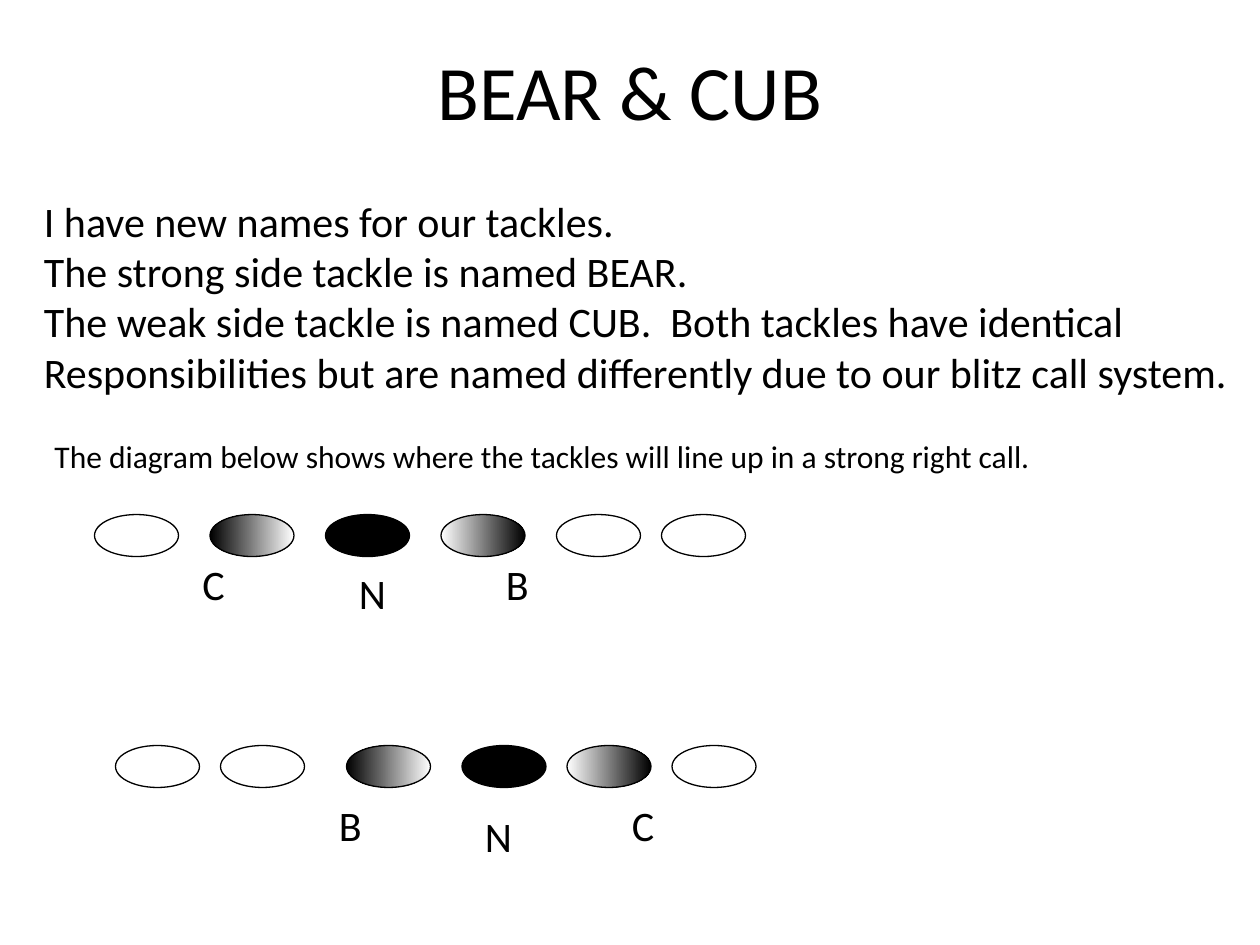
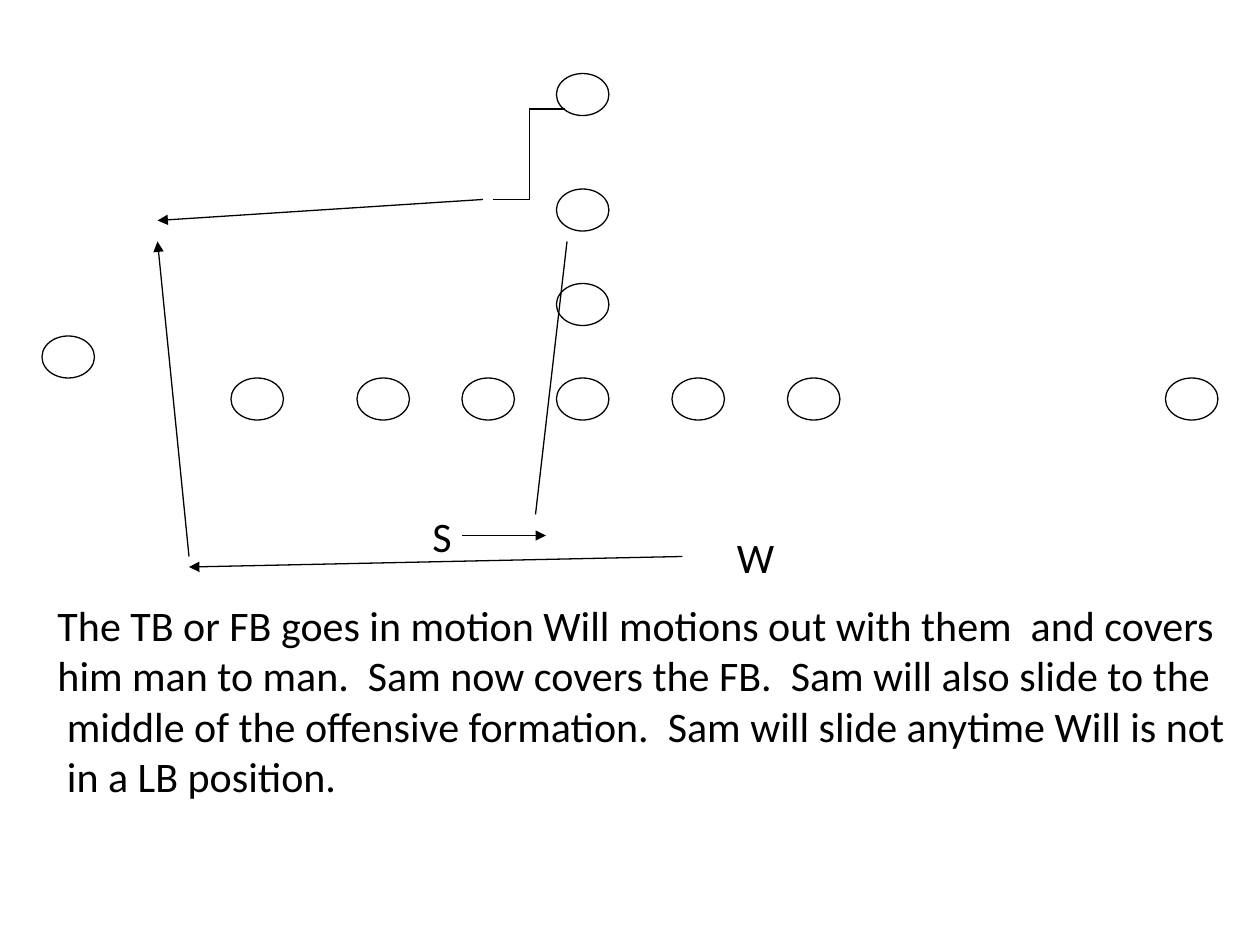
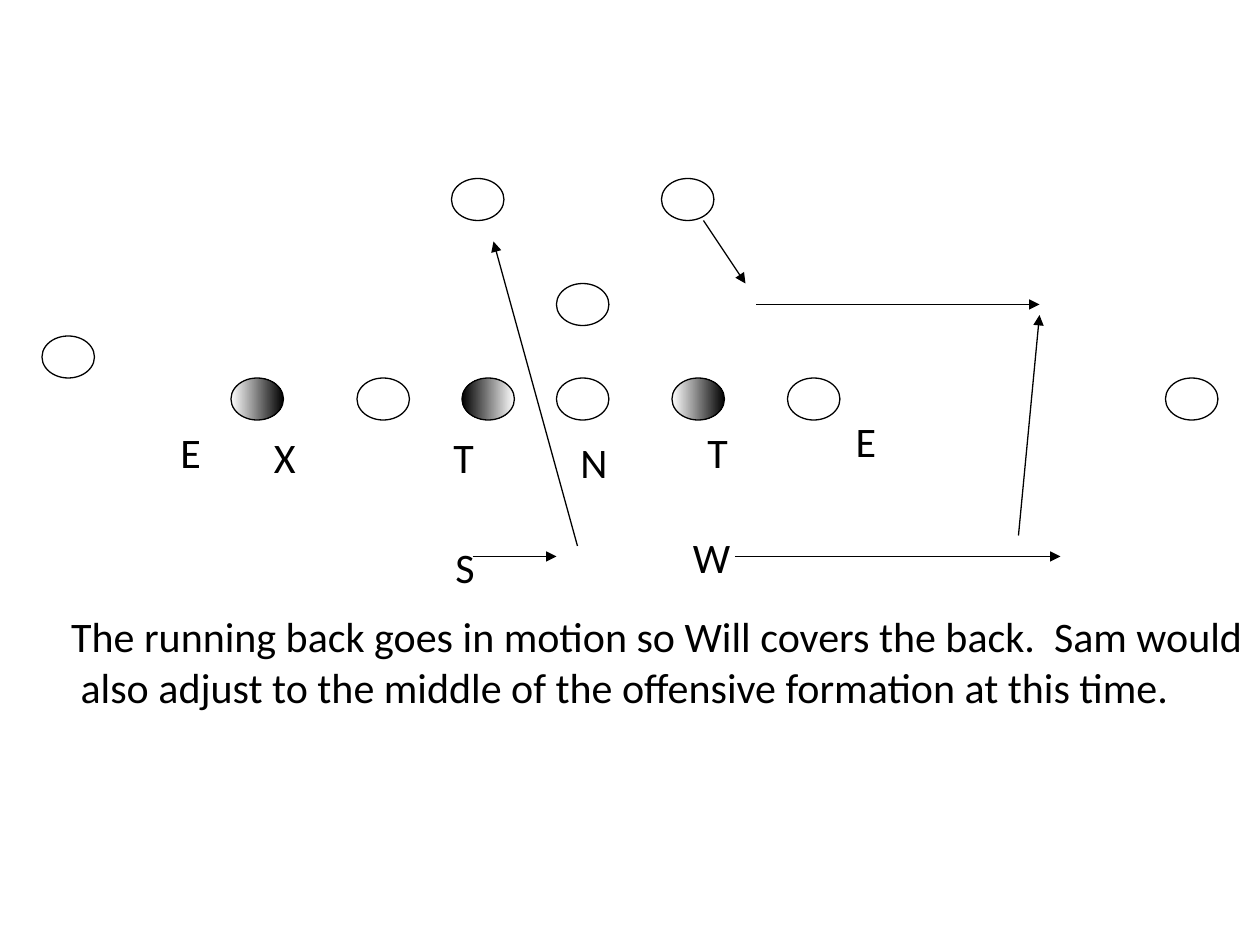
from dataclasses import dataclass

import pptx
import pptx.dml.color
import pptx.enum.shapes
import pptx.enum.text
import pptx.oxml.ns
import pptx.util
from lxml import etree
from pptx.util import Cm, Pt


@dataclass(frozen=True)
class Theme:
    ink: pptx.dml.color.RGBColor = pptx.dml.color.RGBColor(0, 0, 0)
    paper: pptx.dml.color.RGBColor = pptx.dml.color.RGBColor(255, 255, 255)
    font: str = "Calibri"
    title: int = 44
    body: int = 24
    note: int = 18
    line: float = 0.75


THEME = Theme()
CELL = 2.54 / 12  # all positions below count cells of this many cm
SPACE = 0.19  # cm, indent of a hanging line
LETTER_WIDTH = {"B": 4.6, "C": 4.6, "E": 4.3, "N": 4.9, "S": 4.2, "T": 4.3, "X": 4.4}

# Fill of a player, from left to right
OPEN = (THEME.paper,)
NOSE = (THEME.ink,)
DARK_LEFT = (THEME.ink, THEME.paper)
DARK_RIGHT = (THEME.paper, THEME.ink)

# Offense shared by both motion slides: x, y
FORMATION = [(53, 36), (64, 36), (75, 36), (44, 36), (34, 36), (22, 36),
             (4, 32), (111, 36), (53, 27)]

# players: x, y, fill; labels: letter, x, y[, width]
# texts: left, top, width, height, wrap, size, centred, lines (text, indented)
# routes: start, end, kind
SLIDES = [
    {
        "player_size": (8, 4),
        "players": [(x, 49, fill) for x, fill in zip(
            (9, 20, 31, 42, 53, 63),
            (OPEN, DARK_LEFT, NOSE, DARK_RIGHT, OPEN, OPEN))]
        + [(x, 71, fill) for x, fill in zip(
            (11, 21, 33, 44, 54, 64),
            (OPEN, OPEN, DARK_LEFT, NOSE, DARK_RIGHT, OPEN))],
        "labels": [("C", 18.1, 52.6), ("B", 47, 52.6), ("N", 33, 53.5),
                   ("B", 31.1, 75.6), ("C", 59, 75.6), ("N", 45, 76.6)],
        "texts": [
            (6, 3.6, 108, 15, True, THEME.title, True, [("BEAR & CUB", False)]),
            (3, 18, 117, 20.4, True, THEME.body, False, [
                ("I have new names for our tackles.", False),
                ("The strong side tackle is named BEAR.", False),
                ("The weak side tackle is named CUB.  Both tackles have identical", False),
                ("Responsibilities but are named differently due to our blitz call system.", False),
            ]),
            (4, 41, 106, 4.8, True, THEME.note, False, [
                ("The diagram below shows where the tackles will line up in a strong right call.", False),
            ]),
        ],
        "routes": [],
    },
    {
        "player_size": (5, 4),
        "players": [(x, y, OPEN) for x, y in FORMATION + [(53, 18), (53, 7)]],
        "labels": [("S", 40, 48, 4.7), ("W", 69, 50, 10.2)],
        "texts": [
            (4.3, 56.5, 114.7, 20.4, False, THEME.body, False, [
                ("The TB or FB goes in motion Will motions out with them  and covers", False),
                ("him man to man.  Sam now covers the FB.  Sam will also slide to the", False),
                ("middle of the offensive formation.  Sam will slide anytime Will is not", True),
                ("in a LB position.", True),
            ]),
        ],
        "routes": [((53.8, 10.4), (47, 19), "elbow"), ((46, 19), (15, 21), "arrow"),
                   ((18, 53), (15, 23), "arrow"), ((65, 53), (18, 54), "arrow"),
                   ((44, 51), (52, 51), "arrow"), ((51, 49), (54, 23), "plain")],
    },
    {
        "player_size": (5, 4),
        "players": [(x, y, {22: DARK_RIGHT, 44: DARK_LEFT, 64: DARK_RIGHT}.get(x, OPEN))
                    for x, y in FORMATION + [(63, 17), (43, 17)]],
        "labels": [("S", 42.2, 51), ("W", 64.8, 50, 6.2), ("E", 80.3, 39),
                   ("T", 66.2, 40), ("N", 54.1, 41), ("T", 42, 40.5),
                   ("X", 24.9, 40.5), ("E", 16, 40, 6.6)],
        "texts": [
            (5.6, 57.6, 115.1, 10.8, False, THEME.body, False, [
                ("The running back goes in motion so Will covers the back.  Sam would", False),
                ("also adjust to the middle of the offensive formation at this time.", True),
            ]),
        ],
        "routes": [((67, 21), (71, 27), "arrow"), ((72, 29), (99, 29), "arrow"),
                   ((97, 51), (99, 30), "arrow"), ((45, 53), (53, 53), "arrow"),
                   ((70, 53), (101, 53), "arrow"), ((55, 52), (47, 23), "arrow")],
    },
]


def cells(*counts):
    return [Cm(n * CELL) for n in counts]


def set_line(line):
    line.color.rgb = THEME.ink
    line.width = Pt(THEME.line)


def add_player(s, x, y, size, colours):
    sp = s.shapes.add_shape(pptx.enum.shapes.MSO_SHAPE.OVAL, *cells(x, y, *size))
    sp.shadow.inherit = False
    set_line(sp.line)
    if len(colours) == 1:
        sp.fill.solid()
        sp.fill.fore_color.rgb = colours[0]
    else:
        sp.fill.gradient()
        sp.fill.gradient_angle = 0
        for stop, colour in zip(sp.fill.gradient_stops, colours):
            stop.color.rgb = colour


def add_text(s, x, y, w, h, wrap, size, centred, lines):
    tf = s.shapes.add_textbox(*cells(x, y, w, h)).text_frame
    tf.word_wrap = wrap
    for i, (text, indented) in enumerate(lines):
        p = tf.paragraphs[0] if i == 0 else tf.add_paragraph()
        if centred:
            p.alignment = pptx.enum.text.PP_ALIGN.CENTER
        if indented:
            p._p.get_or_add_pPr().set("marL", str(Cm(SPACE)))
        r = p.add_run()
        r.text = text
        r.font.name = THEME.font
        r.font.size = Pt(size)
        r.font.color.rgb = THEME.ink


def add_label(s, letter, x, y, width=None):
    add_text(s, x, y, width or LETTER_WIDTH[letter], 6, width is not None,
             THEME.body, False, [(letter, False)])


def add_route(s, start, end, kind):
    types = pptx.enum.shapes.MSO_CONNECTOR
    shape_type = types.ELBOW if kind == "elbow" else types.STRAIGHT
    cxn = s.shapes.add_connector(shape_type, *cells(*start, *end))
    set_line(cxn.line)
    if kind == "arrow":
        tail = etree.SubElement(cxn.line._get_or_add_ln(), pptx.oxml.ns.qn("a:tailEnd"))
        tail.set("type", "triangle")
    etree.SubElement(cxn._element.spPr, pptx.oxml.ns.qn("a:effectLst"))


def main():
    prs = pptx.Presentation()
    prs.slide_width, prs.slide_height = Cm(25.4), Cm(19.05)
    for content in SLIDES:
        s = prs.slides.add_slide(prs.slide_layouts[6])
        for x, y, colours in content["players"]:
            add_player(s, x, y, content["player_size"], colours)
        for label in content["labels"]:
            add_label(s, *label)
        for text in content["texts"]:
            add_text(s, *text)
        for route in content["routes"]:
            add_route(s, *route)
    prs.save("out.pptx")


if __name__ == "__main__":
    main()
